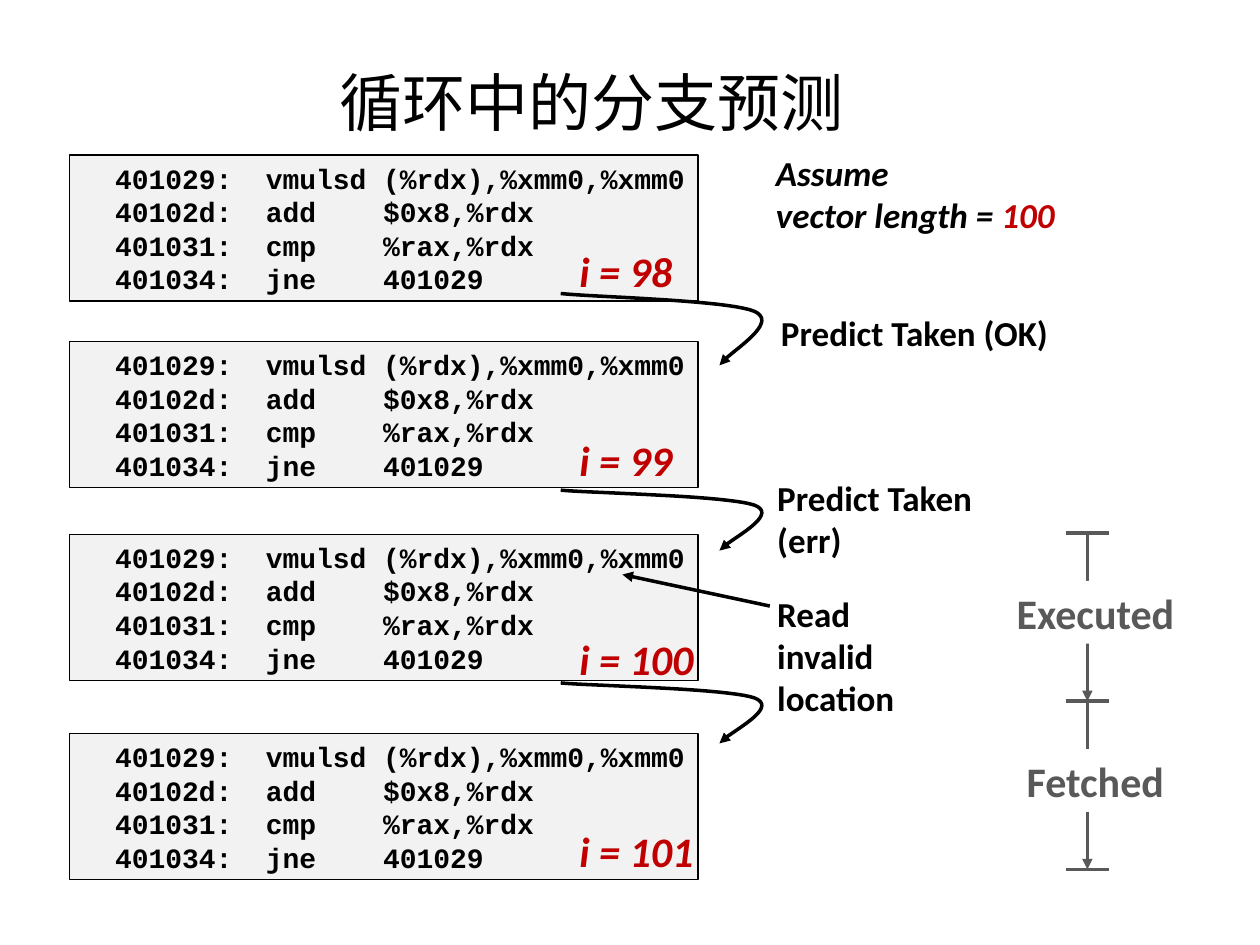
from dataclasses import dataclass
from lxml.etree import SubElement as Sub
from pptx import Presentation
from pptx.dml.color import RGBColor as Rgb
from pptx.enum.shapes import MSO_CONNECTOR as Conn, MSO_SHAPE as Kind
from pptx.enum.text import MSO_ANCHOR as Anchor, PP_ALIGN as Align
from pptx.oxml.ns import qn
from pptx.util import Emu, Pt


@dataclass(frozen=True)
class Theme:
    ink: str = "000000"
    red: str = "C00000"
    gray: str = "595959"
    pale: str = "F2F2F2"
    white: str = "FFFFFF"
    sans: str = "Calibri"
    mono: str = "Courier New"
    title: int = 36
    label: int = 24
    note: int = 20
    code: int = 16
    lead: float = 19.2
    thin: float = 0.75
    thick: int = 2


T = Theme()
SCALE = 9144

CODE = [
    "  401029:  vmulsd (%rdx),%xmm0,%xmm0",
    "  40102d:  add    $0x8,%rdx",
    "  401031:  cmp    %rax,%rdx",
    "  401034:  jne    401029",
]


def px(*vals):
    return [Emu(round(v * SCALE)) for v in vals]


def write(shape, lines, size=T.note, color=T.ink, font=T.sans, bold=True,
          italic=False, align=Align.LEFT, wrap=False, anchor=Anchor.TOP, lead=None):
    frame = shape.text_frame
    frame.word_wrap = wrap
    frame.vertical_anchor = anchor
    for num, line in enumerate(lines):
        para = frame.add_paragraph() if num else frame.paragraphs[0]
        para.alignment = align
        if lead:
            para.line_spacing = Pt(lead)
        for part in [line] if isinstance(line, str) else line:
            text, tint = (part, color) if isinstance(part, str) else part
            run = para.add_run()
            run.text = text
            run.font.name = font
            run.font.size = Pt(size)
            run.font.bold = bold
            run.font.italic = italic
            run.font.color.rgb = Rgb.from_string(tint)


def label(slide, box, lines, **fmt):
    write(slide.shapes.add_textbox(*px(*box)), lines, **fmt)


def panel(slide, box, fill, line=None):
    shape = slide.shapes.add_shape(Kind.RECTANGLE, *px(*box))
    shape.shadow.inherit = False
    shape.fill.solid()
    shape.fill.fore_color.rgb = Rgb.from_string(fill)
    if line:
        shape.line.color.rgb = Rgb.from_string(line)
        shape.line.width = Pt(T.thin)
    else:
        shape.line.fill.background()
    return shape


def stroke(shape, color, arrow):
    shape.line.color.rgb = Rgb.from_string(color)
    shape.line.width = Pt(T.thick)
    if arrow:
        Sub(shape._element.spPr.find(qn("a:ln")), qn("a:tailEnd"), type="triangle")


def rule(slide, start, end, color=T.ink, arrow=False):
    line = slide.shapes.add_connector(Conn.STRAIGHT, *px(*start, *end))
    stroke(line, color, arrow)
    Sub(line._element.spPr, qn("a:effectLst"))


def bend(a, b, c, d, steps=20):
    for num in range(1, steps + 1):
        t = num / steps
        u = 1 - t
        yield tuple(u**3 * p + 3 * u * u * t * q + 3 * u * t * t * r + t**3 * s
                    for p, q, r, s in zip(a, b, c, d))


def jump(slide, box):
    left, top, wide, high = box
    xs = [0, 0.15, 0.76, 0.88, 1, 0.75, 0.72]
    ys = [0, 0.05, 0.09, 0.25, 0.42, 0.84, 1]
    pts = [(left + wide * x, top + high * y) for x, y in zip(xs, ys)]
    path = [*bend(*pts[:4]), *bend(*pts[3:])]
    pen = slide.shapes.build_freeform(*px(*pts[0]))
    pen.add_line_segments([px(*pt) for pt in path], close=False)
    curve = pen.convert_to_shape()
    curve.shadow.inherit = False
    curve.fill.background()
    stroke(curve, T.ink, True)


def head(slide, box, text):
    title = slide.shapes.title
    title.left, title.top, title.width, title.height = px(*box)
    write(title, [text], size=T.title, bold=False, align=Align.CENTER,
          wrap=True, anchor=Anchor.MIDDLE)


def block(slide, box, index, drop):
    left, top, wide, high = box
    write(panel(slide, box, T.pale, T.ink), CODE, size=T.code, font=T.mono,
          lead=T.lead)
    span = 95 if index < 100 else 116
    label(slide, (left + 395, top + drop, span, 50), [f"i = {index}"],
          size=T.label, color=T.red, italic=True)


def phase(slide, box, text, wide):
    left, top, width, high = box
    mid = left + width / 2
    rule(slide, (mid, top), (mid, top + high), T.gray, True)
    for y in (top, top + high):
        rule(slide, (left, y), (left + width, y), T.gray)
    plate = panel(slide, (mid + 7 - wide / 2, top + 38, wide, 50), T.white)
    write(plate, [text], size=T.label, color=T.gray)


def notes(slide, box):
    left, top, wide, high = box
    label(slide, (left, top, wide, 77),
          ["Assume", ["vector length = ", ("100", T.red)]], italic=True)
    label(slide, (left + 4, top + 127, wide - 4, 44), ["Predict Taken (OK)"])
    label(slide, (left + 1, top + 258, 178, 77), ["Predict Taken", "(err)"])
    label(slide, (left + 1, top + 350, 153, high - 350),
          ["Read invalid location"], wrap=True)
    rule(slide, (left + 5, top + 366), (left - 112, top + 341), arrow=True)


def main():
    deck = Presentation()
    deck.slide_width, deck.slide_height = px(1000, 750)
    slide = deck.slides.add_slide(deck.slide_layouts[5])
    head(slide, (40, 49, 859, 63), "循环中的分支预测")
    rows = [(123, 67), (271, 69), (424, 74), (582, 68)]
    for index, (top, drop) in enumerate(rows, 98):
        block(slide, (55, top, 499, 116), index, drop)
    for top, high in [(233, 57), (389, 48), (542, 48)]:
        jump(slide, (445, top, 175, high))
    notes(slide, (606, 115, 241, 460))
    for num, (text, wide) in enumerate([("Executed", 146), ("Fetched", 130)]):
        phase(slide, (846, 423 + 133.5 * num, 34, 133.5), text, wide)
    deck.save("out.pptx")


if __name__ == "__main__":
    main()
